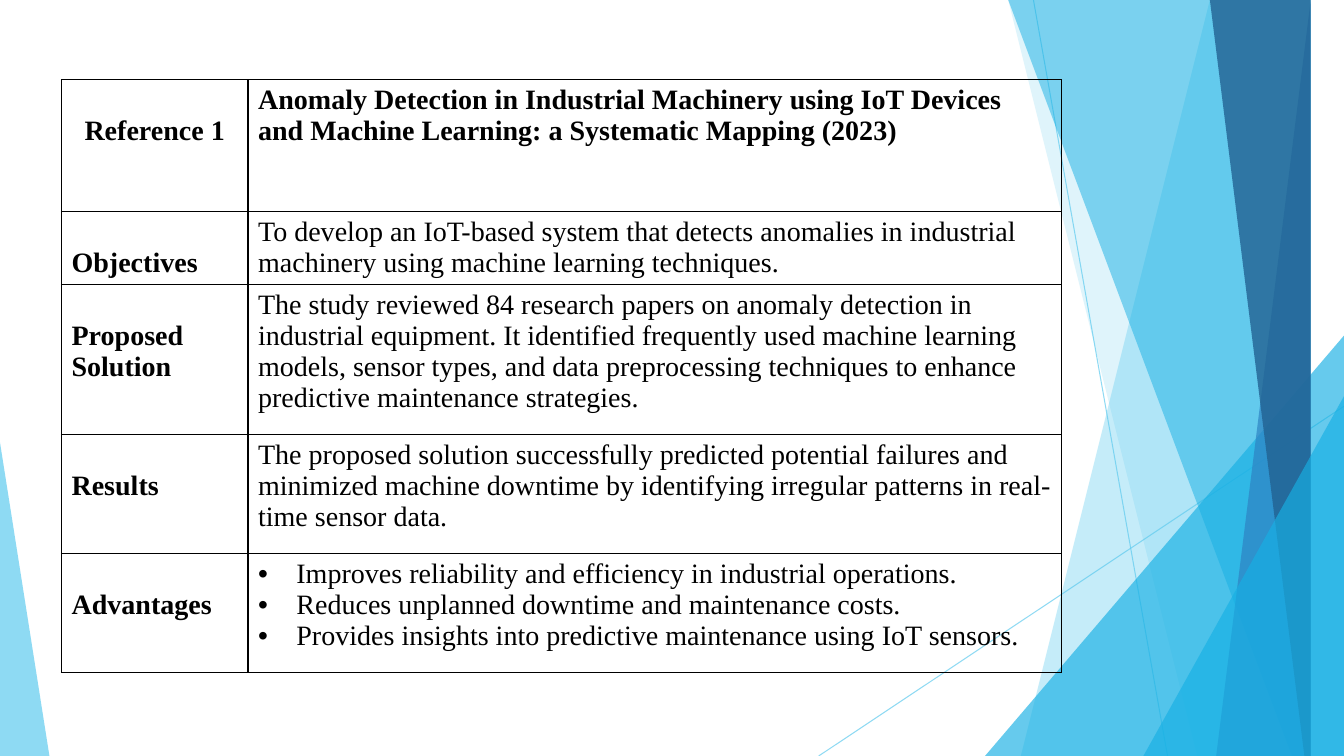
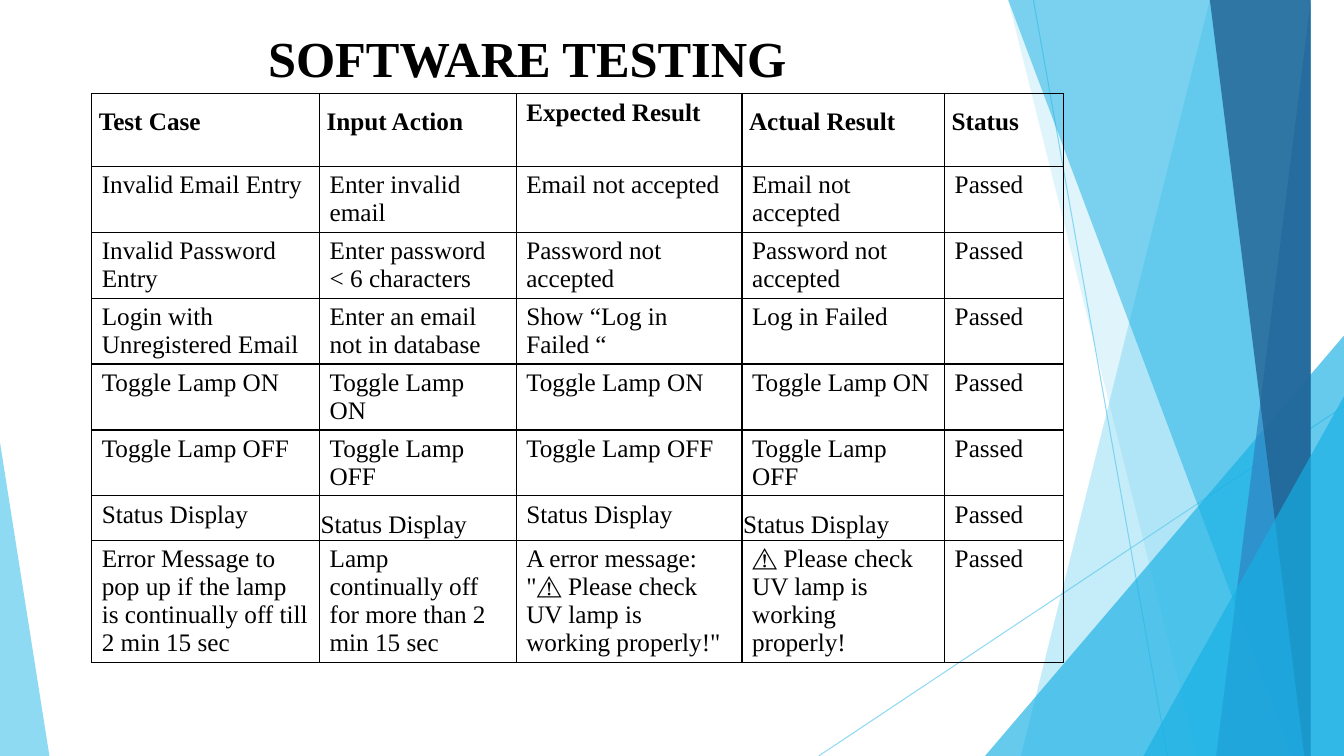
from dataclasses import dataclass

import lxml.etree
import pptx
import pptx.dml.color
import pptx.enum.shapes
import pptx.enum.text
import pptx.oxml.ns
import pptx.presentation
import pptx.shapes.base
import pptx.slide
import pptx.table
import pptx.text.text
import pptx.util

Inches = pptx.util.Inches
Pt = pptx.util.Pt
RGBColor = pptx.dml.color.RGBColor
qn = pptx.oxml.ns.qn

SKY = RGBColor(0x5F, 0xCB, 0xEF)
CYAN = RGBColor(0x17, 0xB0, 0xE4)
BLUE = RGBColor(0x2E, 0x83, 0xC3)
NAVY = RGBColor(0x22, 0x62, 0x92)
BLACK = RGBColor(0, 0, 0)
FONT = "Times New Roman"
WIDTH, HEIGHT = 13.33, 7.5


@dataclass(frozen=True)
class Ray:
    start: tuple[float, float]
    end: tuple[float, float]


@dataclass(frozen=True)
class Facet:
    top_x: float
    bottom_x: float
    color: RGBColor
    opacity: int


@dataclass(frozen=True)
class Corner:
    left: float
    top: float
    width: float
    apex: float
    color: RGBColor
    opacity: int


@dataclass(frozen=True)
class CellStyle:
    size: int
    bold: bool = False
    side: float = 0.1
    top: float = 0.05
    bottom: float = 0.05
    spacing: float = 1.0
    align: pptx.enum.text.PP_ALIGN = pptx.enum.text.PP_ALIGN.LEFT
    bulleted: bool = False


@dataclass(frozen=True)
class Entry:
    text: str
    style: CellStyle


BACKDROP: list[Ray | Facet | Corner] = [
    Ray((10.25, 0), (11.58, HEIGHT)),
    Ray((WIDTH, 4.03), (8.12, HEIGHT)),
    Facet(12.28, 10.04, SKY, 36),
    Facet(10.5, 11.83, SKY, 20),
    Corner(9.77, 3.33, 3.56, 1, CYAN, 66),
    Facet(10.21, 12.91, CYAN, 50),
    Facet(13.03, 11.92, BLUE, 70),
    Facet(11.96, 13.18, NAVY, 80),
    Corner(11.34, 3.93, 1.99, 1, CYAN, 66),
    Corner(0, 4.39, 0.49, 0, SKY, 70),
]

REFERENCE_BODY = CellStyle(20)
REFERENCE_TITLE = CellStyle(20, bold=True)
REFERENCE_LABEL = CellStyle(20, bold=True, top=0.36)
REFERENCE_NUMBER = CellStyle(20, bold=True, top=0.36, align=pptx.enum.text.PP_ALIGN.CENTER)
REFERENCE_BULLETS = CellStyle(20, bulleted=True)
TEST_BODY = CellStyle(18)
TEST_HEADING = CellStyle(18, bold=True, side=0.07, top=0, bottom=0, spacing=1.5)
TEST_PLAIN_HEADING = CellStyle(18, bold=True)
TEST_TIGHT = CellStyle(18, side=0.01, top=0.01, bottom=0.01, spacing=1.5)

REFERENCE = [
    ("Reference 1", "Anomaly Detection in Industrial Machinery using IoT Devices and Machine "
     "Learning: a Systematic Mapping (2023)"),
    ("Objectives", "To develop an IoT-based system that detects anomalies in industrial "
     "machinery using machine learning techniques."),
    ("Proposed Solution", "The study reviewed 84 research papers on anomaly detection in "
     "industrial equipment. It identified frequently used machine learning models, sensor "
     "types, and data preprocessing techniques to enhance predictive maintenance strategies."),
    ("Results", "The proposed solution successfully predicted potential failures and minimized "
     "machine downtime by identifying irregular patterns in real-time sensor data."),
    ("Advantages", "Improves reliability and efficiency in industrial operations.\n"
     "Reduces unplanned downtime and maintenance costs.\n"
     "Provides insights into predictive maintenance using IoT sensors."),
]

TEST_HEADINGS = ("Test Case", "Input Action", "Expected Result", "Actual Result", "Status")
TEST_CASES = [
    ("Invalid Email Entry", "Enter invalid email", "Email not accepted", "Email not accepted"),
    ("Invalid Password Entry", "Enter password < 6 characters", "Password not accepted",
     "Password not accepted"),
    ("Login with Unregistered Email", "Enter an email not in database", "Show “Log in Failed “",
     "Log in Failed"),
    ("Toggle Lamp ON",) * 4,
    ("Toggle Lamp OFF",) * 4,
    ("Status Display",) * 4,
    ("Error Message to pop up if the lamp is continually off till 2 min 15 sec",
     "Lamp continually off for more than 2 min 15 sec",
     'A error message: "⚠️ Please check UV lamp is working properly!"',
     "⚠️ Please check UV lamp is working properly!"),
]


def set_opacity(shape: pptx.shapes.base.BaseShape, percent: int) -> None:
    color = shape.element.find(".//" + qn("a:srgbClr"))
    lxml.etree.SubElement(color, qn("a:alpha"), val=str(percent * 1000))


def draw_ray(slide: pptx.slide.Slide, ray: Ray) -> pptx.shapes.base.BaseShape:
    line = slide.shapes.add_connector(
        pptx.enum.shapes.MSO_CONNECTOR.STRAIGHT,
        *(Inches(value) for value in ray.start + ray.end))
    line.line.color.rgb = SKY
    line.line.width = Pt(0.75)
    set_opacity(line, 70)
    lxml.etree.SubElement(line.element.spPr, qn("a:effectLst"))
    return line


def draw_panel(slide: pptx.slide.Slide, panel: Facet | Corner) -> pptx.shapes.base.BaseShape:
    if isinstance(panel, Facet):
        outline = slide.shapes.build_freeform(panel.top_x, 0, scale=Inches(1))
        outline.add_line_segments([(WIDTH, 0), (WIDTH, HEIGHT), (panel.bottom_x, HEIGHT)])
        shape = outline.convert_to_shape()
    else:
        shape = slide.shapes.add_shape(
            pptx.enum.shapes.MSO_SHAPE.ISOSCELES_TRIANGLE, Inches(panel.left),
            Inches(panel.top), Inches(panel.width), Inches(HEIGHT - panel.top))
        shape.adjustments[0] = panel.apex
    shape.shadow.inherit = False
    shape.fill.solid()
    shape.fill.fore_color.rgb = panel.color
    shape.line.fill.background()
    set_opacity(shape, panel.opacity)
    return shape


def move_backdrop_to_layout(slide: pptx.slide.Slide) -> None:
    layout = slide.slide_layout
    for placeholder in list(layout.placeholders):
        layout.shapes.element.remove(placeholder.element)
    for part in BACKDROP:
        shape = draw_ray(slide, part) if isinstance(part, Ray) else draw_panel(slide, part)
        layout.shapes.element.append(shape.element)


def set_font(paragraph: pptx.text.text._Paragraph, size: int, bold: bool) -> None:
    paragraph.font.name = FONT
    paragraph.font.size = Pt(size)
    paragraph.font.bold = bold
    paragraph.font.color.rgb = BLACK


def add_bullet(paragraph: pptx.text.text._Paragraph) -> None:
    properties = paragraph._p.get_or_add_pPr()
    properties.set("marL", str(Inches(0.38)))
    properties.set("indent", str(-Inches(0.38)))
    lxml.etree.SubElement(properties, qn("a:buFont"), typeface="Arial")
    lxml.etree.SubElement(properties, qn("a:buChar"), char="•")


def add_borders(cell: pptx.table._Cell) -> None:
    properties = cell._tc.get_or_add_tcPr()
    for edge in ("a:lnL", "a:lnR", "a:lnT", "a:lnB"):
        border = lxml.etree.SubElement(properties, qn(edge), w=str(Pt(1)))
        fill = lxml.etree.SubElement(border, qn("a:solidFill"))
        lxml.etree.SubElement(fill, qn("a:srgbClr"), val=str(BLACK))


def fill_cell(cell: pptx.table._Cell, entry: Entry) -> None:
    style = entry.style
    add_borders(cell)
    cell.fill.background()
    cell.margin_left = cell.margin_right = Inches(style.side)
    cell.margin_top = Inches(style.top)
    cell.margin_bottom = Inches(style.bottom)
    cell.text = entry.text
    for paragraph in cell.text_frame.paragraphs:
        paragraph.alignment = style.align
        paragraph.line_spacing = style.spacing
        if style.bulleted:
            add_bullet(paragraph)
        set_font(paragraph, style.size, style.bold)


def draw_table(slide: pptx.slide.Slide, left: float, top: float, widths: list[float],
               heights: list[float], rows: list[list[Entry]]) -> None:
    table = slide.shapes.add_table(
        len(heights), len(widths), Inches(left), Inches(top),
        Inches(sum(widths)), Inches(sum(heights))).table
    table.first_row = table.horz_banding = False
    for column, width in zip(table.columns, widths):
        column.width = Inches(width)
    for row, height, entries in zip(table.rows, heights, rows):
        row.height = Inches(height)
        for cell, entry in zip(row.cells, entries):
            fill_cell(cell, entry)


def draw_reference(slide: pptx.slide.Slide) -> None:
    label_styles = [REFERENCE_NUMBER] + [REFERENCE_LABEL] * 4
    body_styles = [REFERENCE_TITLE] + [REFERENCE_BODY] * 3 + [REFERENCE_BULLETS]
    rows = [[Entry(label, label_style), Entry(body, body_style)]
            for (label, body), label_style, body_style
            in zip(REFERENCE, label_styles, body_styles)]
    draw_table(slide, 0.61, 0.79, [1.85, 8.07], [1.31, 0.72, 1.49, 1.18, 1.18], rows)


def draw_testing(slide: pptx.slide.Slide) -> None:
    rows = [[Entry(heading, TEST_PLAIN_HEADING if heading == "Expected Result" else TEST_HEADING)
             for heading in TEST_HEADINGS]]
    for case in TEST_CASES:
        tight_columns = (1, 3) if case[0] == "Status Display" else ()
        rows.append([Entry(text, TEST_TIGHT if column in tight_columns else TEST_BODY)
                     for column, text in enumerate((*case, "Passed"))])
    draw_table(slide, 0.91, 0.93, [2.26, 1.95, 2.24, 2.01, 1.18],
               [0.72] + [0.65] * 5 + [0.44, 1.21], rows)

    title = slide.shapes.add_textbox(Inches(2.56), Inches(0.22), Inches(6.68), Inches(0.71))
    title.text_frame.word_wrap = True
    title.text_frame.text = "SOFTWARE TESTING"
    set_font(title.text_frame.paragraphs[0], 36, True)


def main() -> None:
    deck = pptx.Presentation()
    deck.slide_width, deck.slide_height = Inches(WIDTH), Inches(HEIGHT)
    blank = deck.slide_layouts[6]
    reference = deck.slides.add_slide(blank)
    move_backdrop_to_layout(reference)
    draw_reference(reference)
    draw_testing(deck.slides.add_slide(blank))
    deck.save("out.pptx")


if __name__ == "__main__":
    main()
